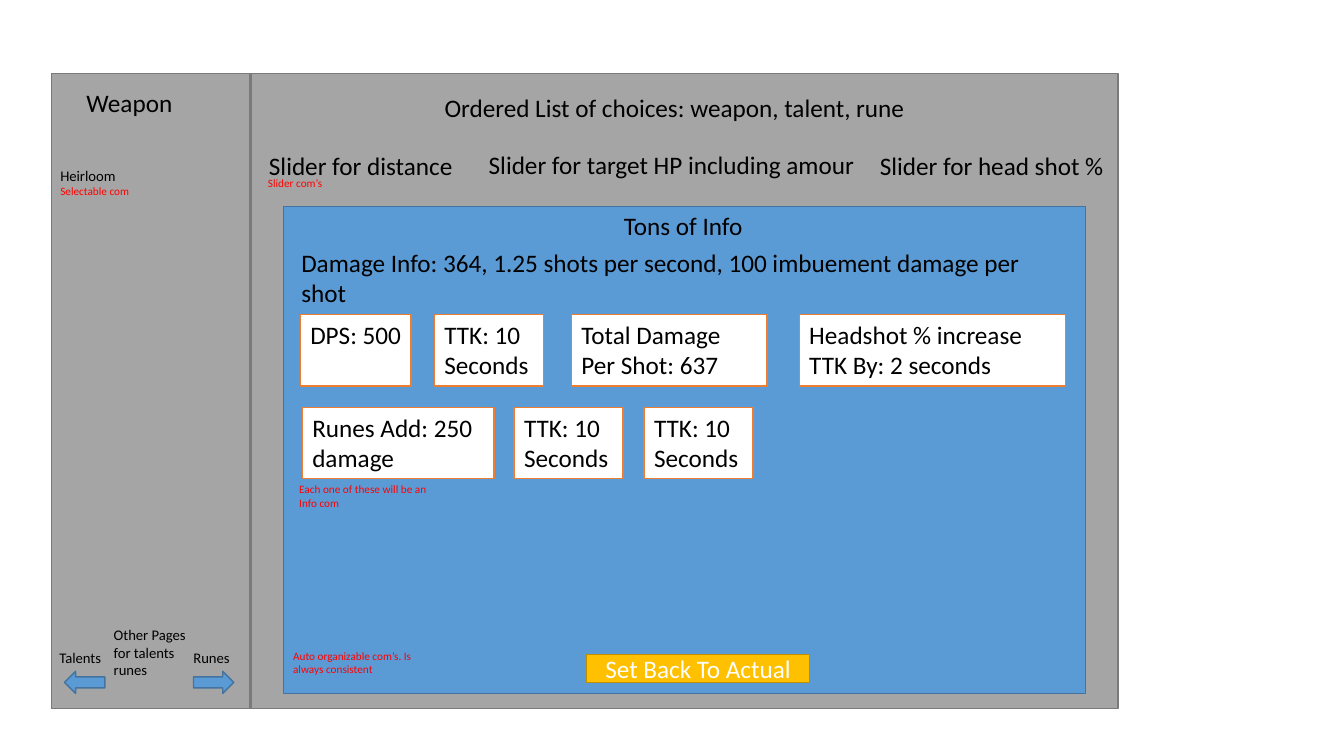
from pptx import Presentation
from pptx import util as u
from pptx.dml.color import RGBColor
from pptx.enum import shapes, text

# Grid: ten columns and ten rows to the inch
CELL = u.Inches(0.1)
PAGE_COLS, PAGE_ROWS = 133.33, 75

BLACK = RGBColor(0x00, 0x00, 0x00)
WHITE = RGBColor(0xFF, 0xFF, 0xFF)
RED = RGBColor(0xFF, 0x00, 0x00)
GREY = RGBColor(0xA5, 0xA5, 0xA5)
GREY_EDGE = RGBColor(0x7A, 0x7A, 0x7A)
BLUE = RGBColor(0x5B, 0x9B, 0xD5)
BLUE_EDGE = RGBColor(0x43, 0x73, 0x9E)
ORANGE = RGBColor(0xED, 0x7D, 0x31)
GOLD = RGBColor(0xFF, 0xC0, 0x00)
GOLD_EDGE = RGBColor(0xBD, 0x8E, 0x00)

HEADING, LABEL, NOTE = 18, 10.5, 8
CARD_ROWS = 7.1

RECT = shapes.MSO_SHAPE.RECTANGLE
LEFT_ARROW = shapes.MSO_SHAPE.LEFT_ARROW
RIGHT_ARROW = shapes.MSO_SHAPE.RIGHT_ARROW


def cells(*counts):
    return [round(count * CELL) for count in counts]


def write(box, words, size=HEADING, color=BLACK, wrap=True,
          align=text.PP_ALIGN.LEFT, anchor=text.MSO_ANCHOR.TOP):
    frame = box.text_frame
    frame.word_wrap = wrap
    frame.auto_size = text.MSO_AUTO_SIZE.NONE
    frame.vertical_anchor = anchor
    para = frame.paragraphs[0]
    para.text = words
    para.alignment = align
    para.font.name = "Calibri"
    para.font.size = u.Pt(size)
    para.font.color.rgb = color


def add_text(page, area, words, **style):
    write(page.shapes.add_textbox(*cells(*area)), words, **style)


def add_block(page, area, fill, edge, kind=RECT):
    block = page.shapes.add_shape(kind, *cells(*area))
    block.shadow.inherit = False
    block.fill.solid()
    block.fill.fore_color.rgb = fill
    block.line.color.rgb = edge
    block.line.width = u.Pt(1)
    return block


def add_card_row(page, top, cards):
    for left, width, words in cards:
        card = add_block(page, (left, top, width, CARD_ROWS), WHITE, ORANGE)
        write(card, words)


def place_title(page, area, words):
    title = page.shapes.title
    title.left, title.top, title.width, title.height = cells(*area)
    write(title, words)
    # Bring the title in front of the panels
    page.shapes.element.append(title.element)


def main():
    deck = Presentation()
    deck.slide_width, deck.slide_height = cells(PAGE_COLS, PAGE_ROWS)
    page = deck.slides.add_slide(deck.slide_layouts[5])

    # Panels
    add_block(page, (5.1, 7.3, 19.7, 63), GREY, GREY_EDGE)
    add_block(page, (24.9, 7.3, 86, 63), GREY, GREY_EDGE)
    add_block(page, (28.1, 20.5, 79.6, 48.3), BLUE, BLUE_EDGE)

    # Headings and sliders
    place_title(page, (43.1, 8.7, 72.4, 4),
                "Ordered List of choices: weapon, talent, rune")
    for left, top, width, words in (
            (7.6, 8.2, 10.6, "Weapon"),
            (25.7, 14.4, 20.4, "Slider for distance"),
            (47.5, 14.3, 39.6, "Slider for target HP including amour"),
            (86.3, 14.4, 24.5, "Slider for head shot %"),
            (60.9, 20.4, 13.9, "Tons of Info")):
        add_text(page, (left, top, width, 4), words, wrap=False)

    # Sidebar labels and page arrows
    add_text(page, (5, 16.1, 7.6, 2.8), "Heirloom", size=LABEL, wrap=False)
    add_text(page, (10.3, 61.6, 10.5, 6.3), "Other Pages for talents runes",
             size=LABEL)
    for label_left, words, arrow_left, kind in (
            (4.9, "Talents", 6.4, LEFT_ARROW),
            (18.2, "Runes", 19.2, RIGHT_ARROW)):
        add_text(page, (label_left, 63.9, 6.8, 2.8), words, size=LABEL)
        add_block(page, (arrow_left, 66.6, 4, 2.2), BLUE, BLUE_EDGE, kind)

    # Damage info and cards
    add_text(page, (28.9, 24, 76.8, 7.1),
             "Damage Info: 364, 1.25 shots per second, "
             "100 imbuement damage per shot")
    add_card_row(page, 31.2, (
        (29.8, 11, "DPS: 500"),
        (43.1, 10.8, "TTK: 10 Seconds"),
        (56.7, 19.4, "Total Damage Per Shot: 637"),
        (79.3, 26.4, "Headshot % increase TTK By: 2 seconds")))
    add_card_row(page, 40.4, (
        (30, 19, "Runes Add: 250 damage"),
        (51, 10.8, "TTK: 10 Seconds"),
        (63.9, 10.8, "TTK: 10 Seconds")))

    # Red notes
    for left, top, height, words in (
            (5, 17.8, 2.4, "Selectable com"),
            (25.6, 17, 2.4, "Slider com’s"),
            (28.7, 47.4, 3.7, "Each one of these will be an Info com"),
            (28.1, 63.9, 3.7, "Auto organizable com’s. Is always consistent")):
        add_text(page, (left, top, 16.3, height), words, size=NOTE, color=RED)

    # Reset button
    button = add_block(page, (58.2, 64.9, 22.1, 2.8), GOLD, GOLD_EDGE)
    write(button, "Set Back To Actual", color=WHITE,
          align=text.PP_ALIGN.CENTER, anchor=text.MSO_ANCHOR.MIDDLE)

    deck.save("out.pptx")


if __name__ == "__main__":
    main()
